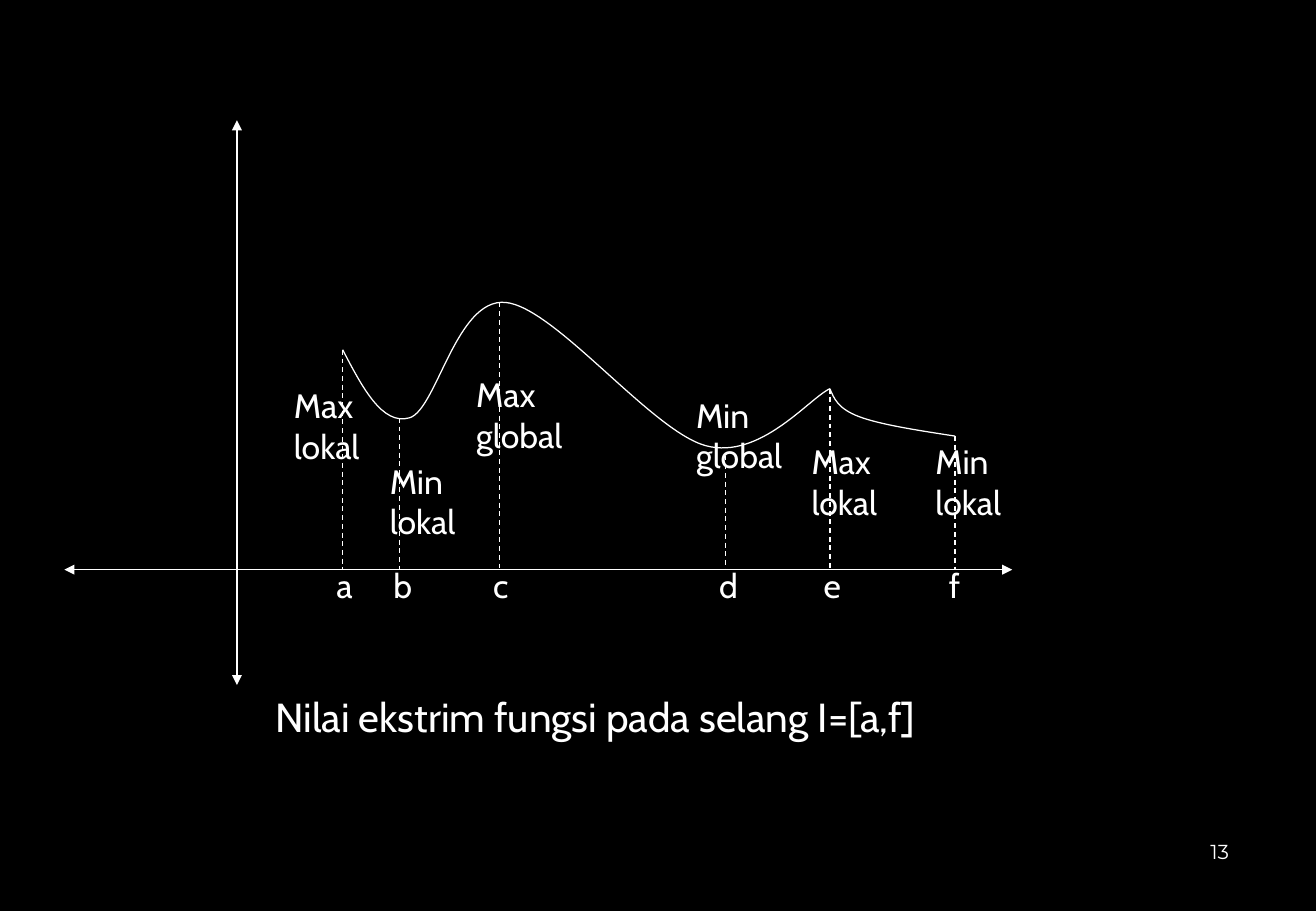
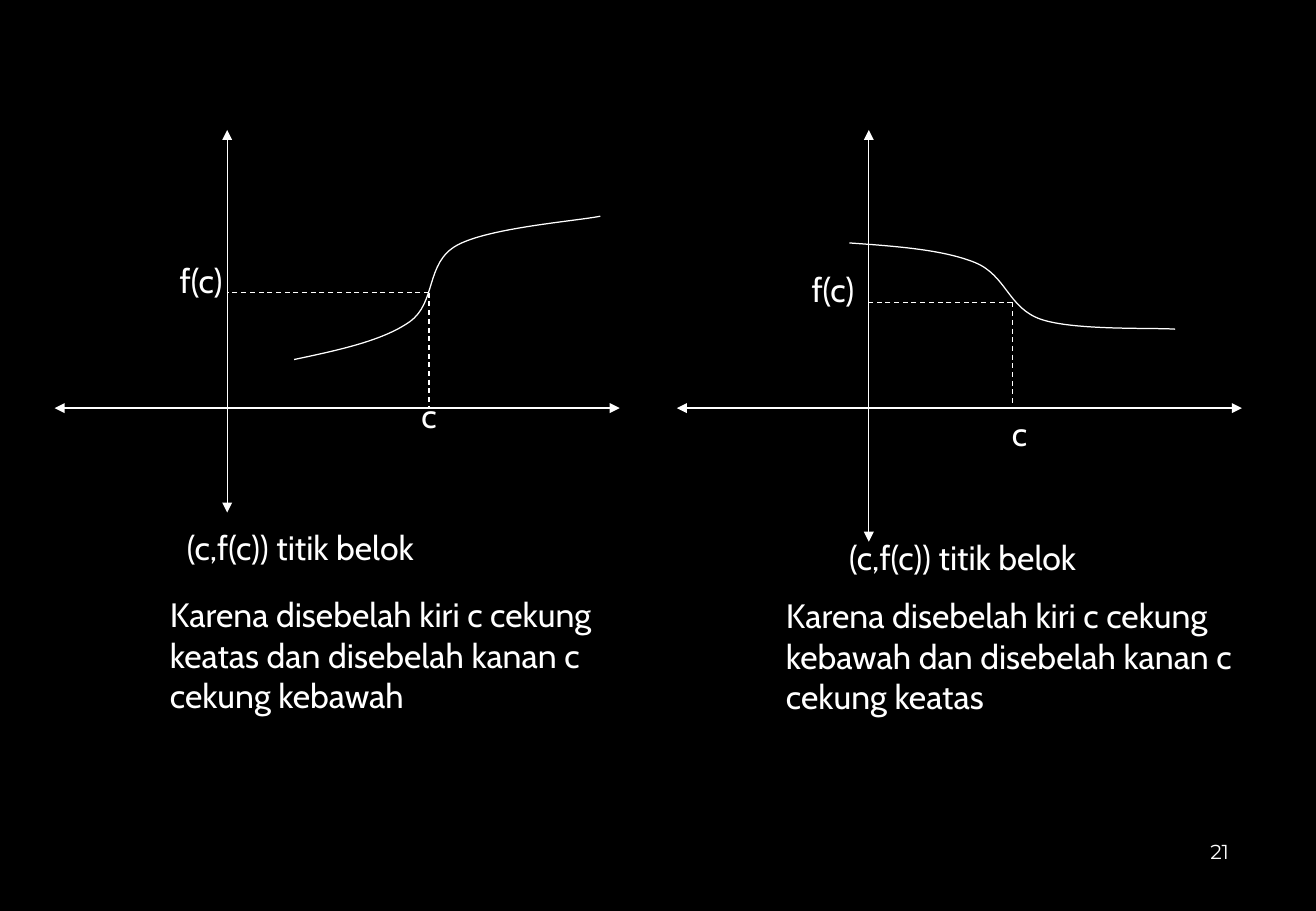
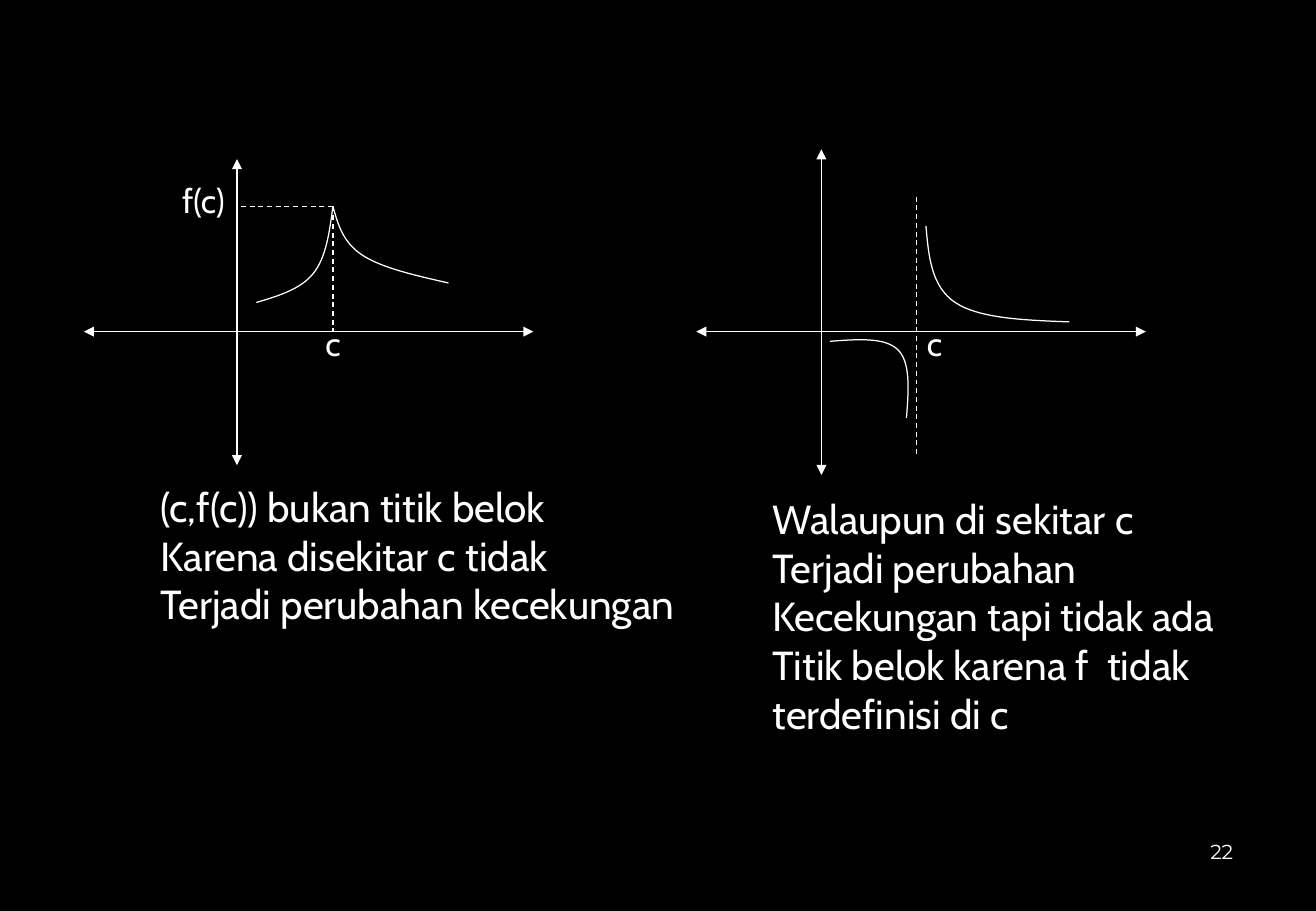
from pptx import Presentation
from pptx.dml.color import RGBColor
from pptx.enum.dml import MSO_LINE_DASH_STYLE as Dash
from pptx.enum.shapes import MSO_CONNECTOR as Conn
from pptx.enum.text import MSO_ANCHOR as Anchor
from pptx.oxml.ns import qn
from pptx.util import Pt
from lxml.etree import SubElement

PX = 9144  # EMU per px, 100 px to the inch
BLACK, WHITE = "000000", "FFFFFF"
BODY, NUMBER = "Cabin", "Montserrat"
LABEL = 20

# Extreme points: letter, x, curve y, name, name left and top
EXTREMES = [
    ("a", 282, 288, "Max\nlokal", 232, 312),
    ("b", 329, 344, "Min\nlokal", 311, 374),
    ("c", 411, 249, "Max\nglobal", 382, 303),
    ("d", 597, 375, "Min\nglobal", 563, 320),
    ("e", 683, 320, "Max\nlokal", 658, 358),
    ("f", 786, 359, "Min\nlokal", 760, 358),
]
CORNER, PEAK = (683, 320), (274, 170)

# axes: x, top, bottom, y, left; curves: points to pass through
# drops: points with a guide down to the x axis; levels: also one to the y axis
# labels and captions: left, top, wording
SLIDES = [
    {"number": 13, "axis_width": 780, "caption_size": 24,
     "graphs": [
         {"axes": (195, 99, 564, 469, 53),
          "curves": [[(282, 288), (337, 344), (416, 249), (581, 367), CORNER],
                     [CORNER, (707, 343), (786, 359)]],
          "drops": [(x, y) for _, x, y, *_ in EXTREMES]}],
     "labels": [(left, top, name) for *_, name, left, top in EXTREMES]
     + [(x - 15, 460, letter) for letter, x, *_ in EXTREMES],
     "captions": [(217, 565, "Nilai ekstrim fungsi pada selang I=[a,f]")]},
    {"number": 21, "axis_width": 465, "caption_size": 20,
     "graphs": [
         {"axes": (187, 107, 422, 336, 45),
          "curves": [[(242, 296), (337, 265), (376, 202), (494, 178)]],
          "levels": [(353, 241)]},
         {"axes": (715, 107, 446, 336, 557),
          "curves": [[(699, 200), (802, 216), (857, 263), (967, 271)]],
          "levels": [(833, 249)]}],
     "labels": [(337, 320, "c"), (138, 209, "f(c)"),
                (823, 335, "c"), (658, 216, "f(c)")],
     "captions": [
         (144, 429, "(c,f(c)) titik belok"),
         (689, 437, "(c,f(c)) titik belok"),
         (130, 484, "Karena disebelah kiri c cekung\n"
          "keatas dan disebelah kanan c\ncekung kebawah"),
         (637, 485, "Karena disebelah kiri c cekung\n"
          "kebawah dan disebelah kanan c\ncekung keatas")]},
    {"number": 22, "axis_width": 370, "caption_size": 24,
     "graphs": [
         {"axes": (195, 131, 383, 273, 69),
          "curves": [[PEAK, (298, 210), (369, 233)],
                     [(211, 249), (258, 225), PEAK]],
          "levels": [PEAK]},
         {"axes": (676, 123, 391, 273, 573),
          "curves": [[(683, 281), (739, 288), (746, 344)],
                     [(762, 186), (786, 249), (880, 265)]],
          "asymptote": (754, 162, 754, 375)}],
     "labels": [(258, 261, "c"), (140, 143, "f(c)"), (753, 261, "c")],
     "captions": [
         (122, 392, "(c,f(c)) bukan titik belok\n"
          "Karena disekitar c tidak\nTerjadi perubahan kecekungan"),
         (626, 402, "Walaupun di sekitar c\nTerjadi perubahan\n"
          "Kecekungan tapi tidak ada\nTitik belok karena f  tidak\n"
          "terdefinisi di c")]},
]


def px(*values):
    return [round(v * PX) for v in values]


def color(value):
    return RGBColor.from_string(value)


def style_line(line):
    line.color.rgb = color(WHITE)
    line.width = Pt(0.75)


def add_line(s, x1, y1, x2, y2, arrows=False):
    """Axis with two arrowheads, or a dashed guide."""
    c = s.shapes.add_connector(Conn.STRAIGHT, *px(x1, y1, x2, y2))
    style_line(c.line)
    if arrows:
        ln = c.line._get_or_add_ln()
        for end in ("a:headEnd", "a:tailEnd"):
            SubElement(ln, qn(end)).set("type", "triangle")
    else:
        c.line.dash_style = Dash.DASH
    SubElement(c._element.spPr, qn("a:effectLst"))


def blend(p, q, share):
    return tuple(a + (b - a) * share for a, b in zip(p, q))


def bezier_points(knots):
    """Controls and end of each piece of a smooth curve through the knots."""
    last = len(knots) - 1
    points = []
    for i in range(last):
        start, end = knots[i], knots[i + 1]
        out = into = None
        if i > 0:
            out = tuple(p + (b - a) / 6
                        for p, a, b in zip(start, knots[i - 1], end))
        if i + 1 < last:
            into = tuple(p - (b - a) / 6
                         for p, a, b in zip(end, start, knots[i + 2]))
        elif last > 2:
            into = blend(end, start, 1 / 6)
        out = out or blend(start, into, 0.5)
        into = into or blend(out, end, 0.5)
        points += [out, into, end]
    return points


def add_curve(s, knots):
    builder = s.shapes.build_freeform(*px(*knots[0]), scale=1.0)
    builder.add_line_segments([px(*p) for p in bezier_points(knots)], close=False)
    sp = builder.convert_to_shape()
    sp.shadow.inherit = False
    sp.fill.background()
    style_line(sp.line)
    # Every three segments become one Bezier piece
    segments = list(sp._element.iter(qn("a:lnTo")))
    outline = segments[0].getparent()
    for i in range(0, len(segments), 3):
        bezier = SubElement(outline, qn("a:cubicBezTo"))
        for segment in segments[i:i + 3]:
            bezier.append(segment[0])
            outline.remove(segment)


def add_graph(s, width, axes, curves, drops=(), levels=(), asymptote=None):
    x0, top, bottom, y0, left = axes
    add_line(s, x0, top, x0, bottom, arrows=True)
    add_line(s, left, y0, left + width, y0, arrows=True)
    for knots in curves:
        add_curve(s, knots)
    for x, y in [*drops, *levels]:
        add_line(s, x, y, x, y0)
    for x, y in levels:
        add_line(s, x, y, x0, y)
    if asymptote:
        add_line(s, *asymptote)


def add_text(s, left, top, text, size, font=BODY, box=None, **frame):
    lines = text.split("\n")
    longest = max(map(len, lines))
    box = box or (20 + longest * size * 0.65, 10 + len(lines) * size * 1.68)
    tf = s.shapes.add_textbox(*px(left, top, *box)).text_frame
    for name, value in {"word_wrap": True, **frame}.items():
        setattr(tf, name, value)
    for i, line in enumerate(lines):
        p = tf.add_paragraph() if i else tf.paragraphs[0]
        r = p.add_run()
        r.text = line
        for name, value in {"name": font, "size": Pt(size)}.items():
            setattr(r.font, name, value)
        r.font.color.rgb = color(WHITE)


def main():
    prs = Presentation()
    prs.slide_width, prs.slide_height = px(1083, 750)
    fill = prs.slide_master.background.fill
    fill.solid()
    fill.fore_color.rgb = color(BLACK)
    no_margins = dict.fromkeys(
        ("margin_left", "margin_top", "margin_right", "margin_bottom"), 0)

    for data in SLIDES:
        s = prs.slides.add_slide(prs.slide_layouts[6])
        # Slide number
        add_text(s, 996, 676, str(data["number"]), 12, NUMBER, (72, 50),
                 vertical_anchor=Anchor.MIDDLE, **no_margins)
        # Graphs
        for graph in data["graphs"]:
            add_graph(s, data["axis_width"], **graph)
        # Labels and captions
        for label in data["labels"]:
            add_text(s, *label, LABEL)
        for caption in data["captions"]:
            add_text(s, *caption, data["caption_size"])
    prs.save("out.pptx")


if __name__ == "__main__":
    main()
